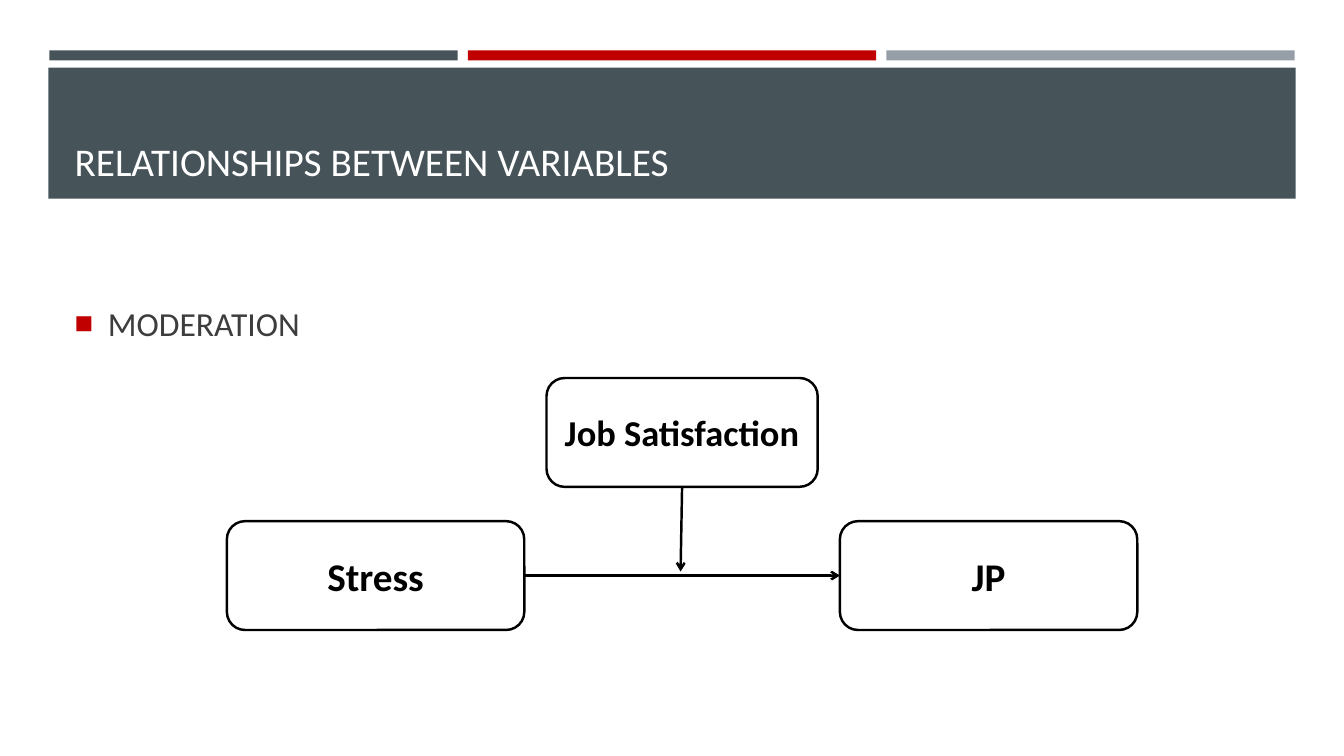
from lxml import etree
from pptx import Presentation
from pptx.dml.color import RGBColor
from pptx.enum.shapes import MSO_CONNECTOR, MSO_SHAPE
from pptx.enum.text import MSO_ANCHOR, MSO_AUTO_SIZE, PP_ALIGN
from pptx.oxml.ns import qn
from pptx.util import Inches, Pt

RECTANGLE = MSO_SHAPE.RECTANGLE
ROUNDED = MSO_SHAPE.ROUNDED_RECTANGLE
STRAIGHT = MSO_CONNECTOR.STRAIGHT
TOP, MIDDLE, BOTTOM = MSO_ANCHOR.TOP, MSO_ANCHOR.MIDDLE, MSO_ANCHOR.BOTTOM
LEFT, CENTER = PP_ALIGN.LEFT, PP_ALIGN.CENTER
NO_AUTOFIT = MSO_AUTO_SIZE.NONE

SLATE = RGBColor(0x46, 0x53, 0x59)
RED = RGBColor(0xC0, 0x00, 0x00)
GRAY = RGBColor(0x96, 0x9F, 0xA7)
CHARCOAL = RGBColor(0x3D, 0x3D, 0x3D)
WHITE = RGBColor(0xFF, 0xFF, 0xFF)
BLACK = RGBColor(0x00, 0x00, 0x00)

LEFT_SIDE, BOTTOM_SIDE, RIGHT_SIDE = 1, 2, 3


class SlideBuilder:
    font_name = "Calibri"
    line_width = Pt(1.75)

    def __init__(self, slide):
        self.slide = slide
        self.shapes = slide.shapes

    def add_text(self, shape, text, size, color, alignment, anchor, bold=False):
        frame = shape.text_frame
        frame.word_wrap = True
        frame.auto_size = NO_AUTOFIT
        frame.vertical_anchor = anchor
        paragraph = frame.paragraphs[0]
        paragraph.alignment = alignment
        run = paragraph.add_run()
        run.text = text
        run.font.name = self.font_name
        run.font.size = Pt(size)
        run.font.bold = bold
        run.font.color.rgb = color
        return paragraph

    def rectangle(self, kind, left, top, width, height, fill):
        shape = self.shapes.add_shape(
            kind, Inches(left), Inches(top), Inches(width), Inches(height))
        shape.shadow.inherit = False
        shape.fill.solid()
        shape.fill.fore_color.rgb = fill
        shape.line.fill.background()
        return shape

    def place(self, placeholder, left, top, width, height):
        placeholder.left, placeholder.top = Inches(left), Inches(top)
        placeholder.width, placeholder.height = Inches(width), Inches(height)
        self.shapes._spTree.append(placeholder._element)

    def title(self, text):
        placeholder = self.shapes.title
        self.place(placeholder, 0.64, 0.77, 12.06, 1.11)
        self.add_text(placeholder, text, 28, WHITE, LEFT, BOTTOM)

    def bullet(self, text):
        placeholder = self.slide.placeholders[1]
        self.place(placeholder, 0.64, 2.38, 12.06, 4.02)
        paragraph = self.add_text(placeholder, text, 24, CHARCOAL, LEFT, TOP)
        placeholder.text_frame.margin_top = Inches(0.62)
        paragraph.space_before = Pt(0)
        paragraph.space_after = Pt(6)
        properties = paragraph._p.get_or_add_pPr()
        properties.set("marL", str(Inches(0.33)))
        properties.set("indent", str(Inches(-0.33)))
        color = etree.SubElement(properties, qn("a:buClr"))
        etree.SubElement(color, qn("a:srgbClr"), val=str(RED))
        etree.SubElement(properties, qn("a:buSzPct"), val="92000")
        etree.SubElement(properties, qn("a:buFont"), typeface="Arial")
        etree.SubElement(properties, qn("a:buChar"), char="■")

    def variable(self, text, left, top, width, size):
        box = self.rectangle(ROUNDED, left, top, width, 1.08, WHITE)
        box.line.color.rgb = BLACK
        box.line.width = self.line_width
        self.add_text(box, text, size, BLACK, CENTER, MIDDLE, bold=True)
        return box

    def arrow(self, start, start_side, end_point, end=None, end_side=None):
        end_x, end_y = end_point
        connector = self.shapes.add_connector(
            STRAIGHT, 0, 0, Inches(end_x), Inches(end_y))
        connector.begin_connect(start, start_side)
        if end is not None:
            connector.end_connect(end, end_side)
        connector.line.color.rgb = BLACK
        connector.line.width = self.line_width
        line = connector.line._get_or_add_ln()
        etree.SubElement(line, qn("a:tailEnd"), type="arrow")
        etree.SubElement(connector._element.spPr, qn("a:effectLst"))


def main():
    presentation = Presentation()
    presentation.slide_width = Inches(13.33)
    presentation.slide_height = Inches(7.5)
    slide = presentation.slides.add_slide(presentation.slide_layouts[1])
    builder = SlideBuilder(slide)

    for index, color in enumerate((SLATE, RED, GRAY)):
        builder.rectangle(RECTANGLE, 0.49 + 4.15 * index, 0.5, 4.05, 0.1, color)
    builder.rectangle(RECTANGLE, 0.48, 0.67, 12.37, 1.3, SLATE)

    builder.title("RELATIONSHIPS BETWEEN VARIABLES")
    builder.bullet("MODERATION")

    stress = builder.variable("Stress", 2.25, 5.17, 2.95, 28)
    satisfaction = builder.variable("Job Satisfaction", 5.42, 3.75, 2.69, 26)
    performance = builder.variable("JP", 8.33, 5.17, 2.95, 28)

    builder.arrow(stress, RIGHT_SIDE, (8.33, 5.71), performance, LEFT_SIDE)
    builder.arrow(satisfaction, BOTTOM_SIDE, (6.75, 5.67))

    presentation.save("out.pptx")


if __name__ == "__main__":
    main()
